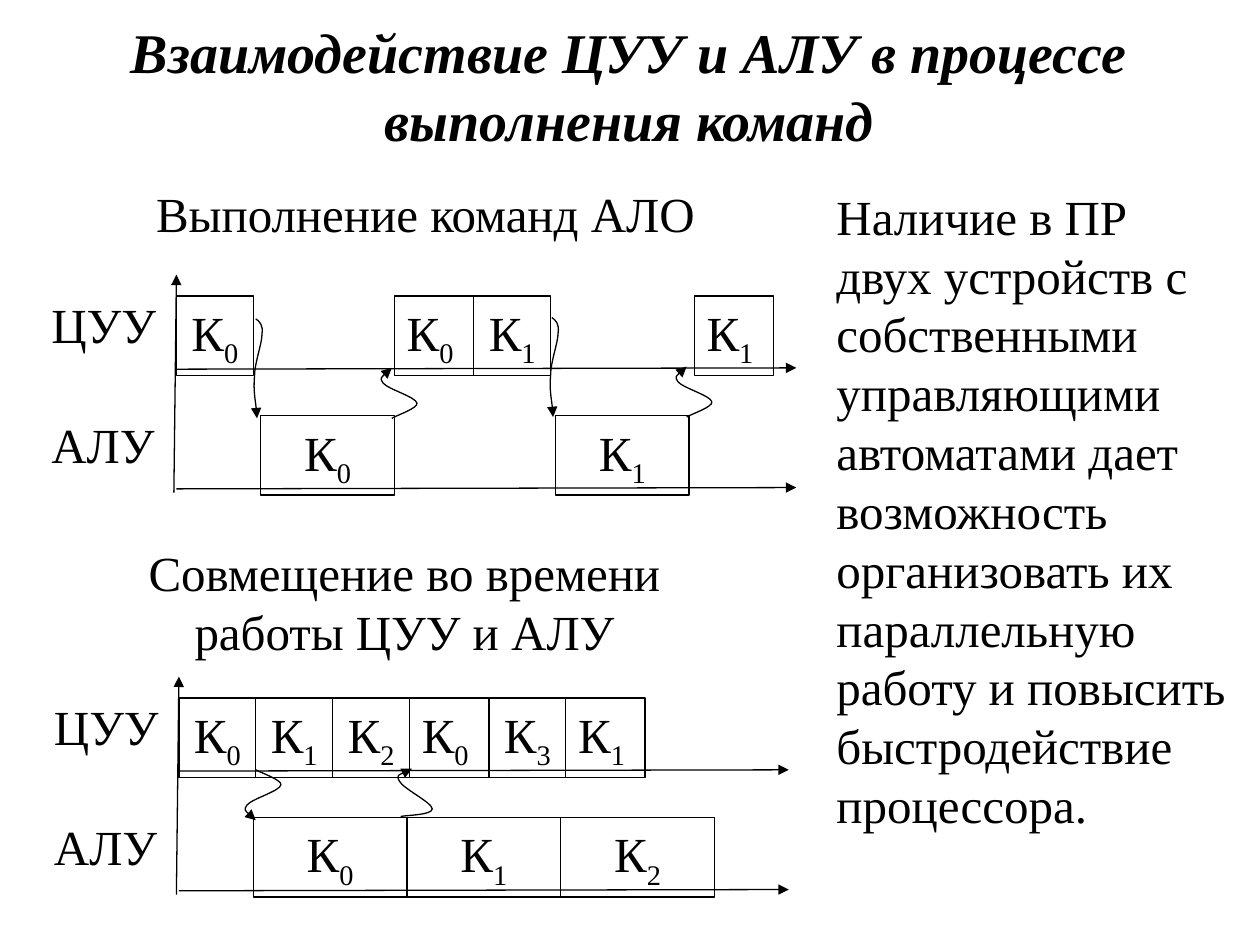
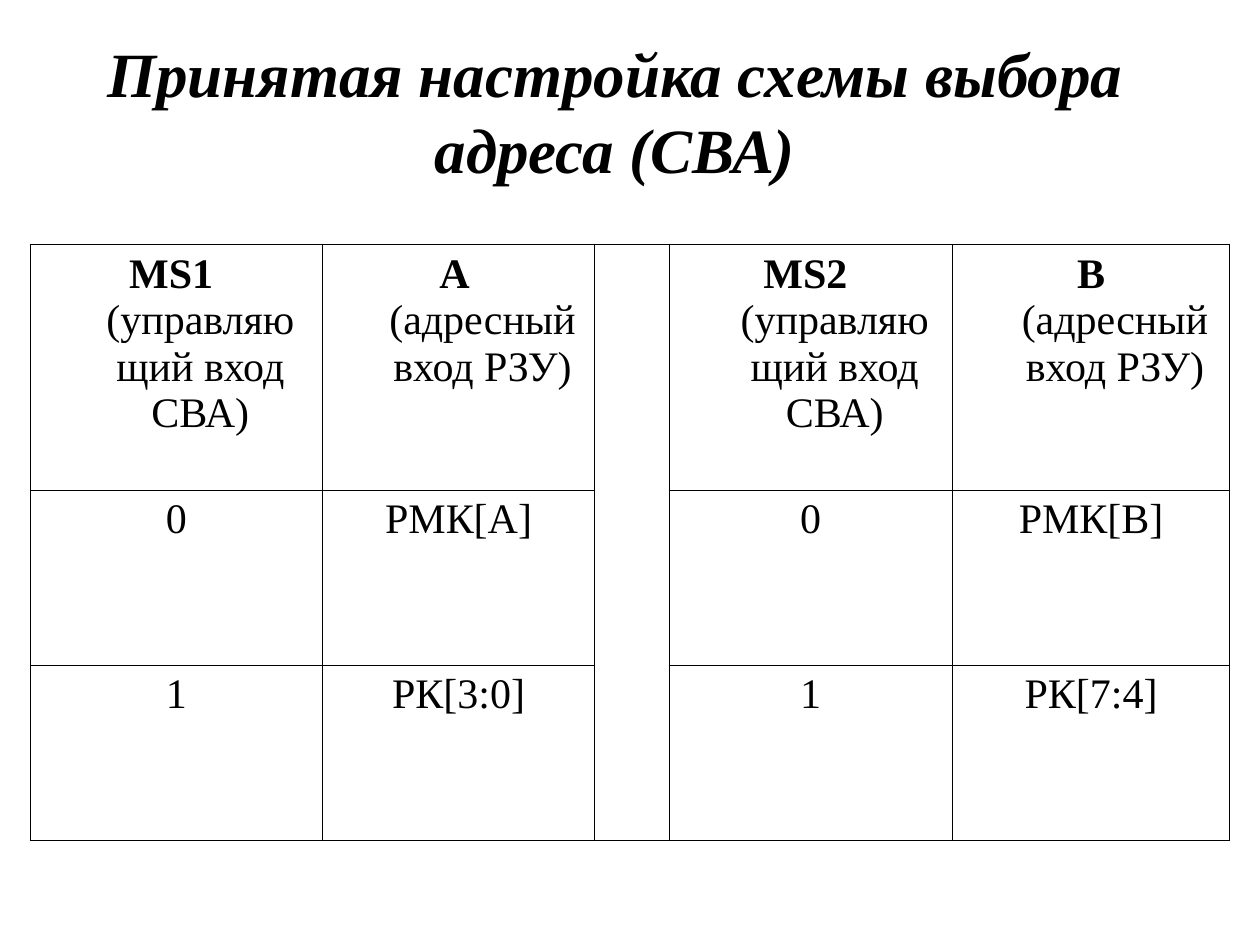
from lxml import etree
from pptx import Presentation
from pptx.dml.color import RGBColor
from pptx.enum.shapes import MSO_CONNECTOR, MSO_SHAPE
from pptx.enum.text import MSO_ANCHOR, MSO_AUTO_SIZE, PP_ALIGN
from pptx.oxml.ns import qn
from pptx.util import Inches, Pt

LEFT, CENTER = PP_ALIGN.LEFT, PP_ALIGN.CENTER
MIDDLE = MSO_ANCHOR.MIDDLE
NO_FIT, GROW = MSO_AUTO_SIZE.NONE, MSO_AUTO_SIZE.SHAPE_TO_FIT_TEXT
RECTANGLE, STRAIGHT = MSO_SHAPE.RECTANGLE, MSO_CONNECTOR.STRAIGHT

FONT = "Times New Roman"
INK = "000000"
LINE_WIDTH = 0.74
TITLE_ONLY = 5

# Timing diagram: offsets from its top-left corner, in inches
CONTROL_ROW, ARITHMETIC_ROW = 0.17, 1.12
CONTROL_AXIS, ARITHMETIC_AXIS = 0.74, 1.69
AXIS_HEIGHT = 1.73
CELL_HEIGHT = 0.63
NARROW, WIDE = 0.61, 0.63

# Bezier points relative to the start of each curved arrow
DOWN_CURVE = [(0.03, 0.02), (0.06, 0.05), (0.05, 0.12),
              (0.05, 0.20), (-0.01, 0.35), (-0.01, 0.46),
              (-0.02, 0.57), (0.01, 0.73), (0.01, 0.79)]
RETURN_CURVE = [(-0.05, 0.04), (-0.10, 0.08), (-0.07, 0.12),
                (-0.03, 0.17), (0.19, 0.23), (0.20, 0.28),
                (0.21, 0.32), (0.03, 0.38), (0, 0.40)]
LEANING_CURVE = [(-0.06, 0.03), (-0.13, 0.05), (-0.10, 0.10),
                 (-0.07, 0.16), (0.16, 0.27), (0.16, 0.32),
                 (0.16, 0.37), (-0.05, 0.37), (-0.09, 0.38)]
FORWARD_CURVE = [(x, -y) for x, y in RETURN_CURVE]


def color(hex_string):
    """Turn a hex string into a colour."""
    return RGBColor.from_string(hex_string)


def inches(*lengths):
    """Convert lengths in inches."""
    return [Inches(length) for length in lengths]


def set_font(font, size, bold=False, italic=False):
    """Apply the shared typeface and colour."""
    font.name, font.size = FONT, Pt(size)
    font.bold, font.italic = bold, italic
    font.color.rgb = color(INK)


def add_slide(presentation, title, box, size):
    """Add a slide with the shared title style."""
    slide = presentation.slides.add_slide(presentation.slide_layouts[TITLE_ONLY])
    shape = slide.shapes.title
    shape.left, shape.top, shape.width, shape.height = inches(*box)
    frame = shape.text_frame
    frame.text = title
    frame.auto_size, frame.vertical_anchor = NO_FIT, MIDDLE
    paragraph = frame.paragraphs[0]
    paragraph.alignment = CENTER
    set_font(paragraph.font, size, bold=True, italic=True)
    return slide


def write(shape, text, alignment=LEFT, subscript=""):
    """Write one body paragraph, optionally ending in a subscript."""
    frame = shape.text_frame
    frame.word_wrap, frame.auto_size = True, GROW
    frame.vertical_anchor = MSO_ANCHOR.TOP
    paragraph = frame.paragraphs[0]
    paragraph.alignment, paragraph.space_before = alignment, Pt(17.5)
    set_font(paragraph.font, 28)
    paragraph.add_run().text = text
    if subscript:
        run = paragraph.add_run()
        run.text = subscript
        run._r.get_or_add_rPr().set("baseline", "-25000")


def add_text(slide, box, text, alignment=LEFT):
    """Add a wrapped text box."""
    write(slide.shapes.add_textbox(*inches(*box)), text, alignment)


def style_line(shape, arrow_end=None):
    """Give a shape the thin black line and an arrowhead at one end."""
    shape.line.color.rgb = color(INK)
    shape.line.width = Pt(LINE_WIDTH)
    if arrow_end:
        line = shape.line._get_or_add_ln()
        etree.SubElement(line, qn(f"a:{arrow_end}"), type="triangle")


def add_axis(slide, start, end):
    """Draw a straight axis with an arrowhead at its end."""
    axis = slide.shapes.add_connector(STRAIGHT, *inches(*start, *end))
    style_line(axis, "tailEnd")
    etree.SubElement(axis._element.spPr, qn("a:effectLst"))


def add_curve(slide, start, offsets, arrow_end="headEnd"):
    """Draw a curved arrow through Bezier offsets from its start."""
    x, y = start
    builder = slide.shapes.build_freeform(*inches(x, y))
    builder.add_line_segments(
        [inches(x + dx, y + dy) for dx, dy in offsets], close=False)
    curve = builder.convert_to_shape()
    segments = list(curve._element.iter(qn("a:lnTo")))
    for first in range(0, len(segments), 3):
        bezier = etree.Element(qn("a:cubicBezTo"))
        segments[first].addprevious(bezier)
        for segment in segments[first:first + 3]:
            bezier.append(segment[0])
            segment.getparent().remove(segment)
    curve.shadow.inherit = False
    curve.fill.background()
    style_line(curve, arrow_end)


def add_command(slide, box, number):
    """Draw one command cell; the wide control cells align left."""
    cell = slide.shapes.add_shape(RECTANGLE, *inches(*box))
    cell.shadow.inherit = False
    cell.fill.background()
    style_line(cell)
    write(cell, "К", LEFT if box[2] == WIDE else CENTER, number)


def add_timing_diagram(slide, box, control, arithmetic, curves):
    """Draw axes, row labels, command cells and curved arrows in a box.

    Cells are (x, width, number) and curves (x, y, offsets, arrow end),
    all measured from the corner of the box.
    """
    left, top, width = box
    add_axis(slide, (left - 0.02, top + AXIS_HEIGHT), (left, top))
    rows = [("ЦУУ", CONTROL_ROW, CONTROL_AXIS, control),
            ("АЛУ", ARITHMETIC_ROW, ARITHMETIC_AXIS, arithmetic)]
    for label, row, axis, cells in rows:
        add_axis(slide, (left, top + axis + 0.01), (left + width, top + axis))
        add_text(slide, (left - 1.09, top + row - 0.06, 1.04, 0.57), label)
        for x, cell_width, number in cells:
            add_command(
                slide, (left + x, top + row, cell_width, CELL_HEIGHT), number)
    for x, y, offsets, arrow_end in curves:
        add_curve(slide, (left + x, top + y), offsets, arrow_end)


def in_sequence(start, cells):
    """Place (width, number) cells side by side from a start."""
    placed = []
    for width, number in cells:
        placed.append((start, width, number))
        start += width
    return placed


def set_borders(cell, sides):
    """Draw the named sides of a table cell and hide the others."""
    properties = cell._tc.get_or_add_tcPr()
    for side in "LRTB":
        border = etree.SubElement(
            properties, qn(f"a:ln{side}"), w=str(Pt(0.45)))
        if side in sides:
            fill = etree.SubElement(border, qn("a:solidFill"))
            etree.SubElement(fill, qn("a:srgbClr"), val=INK)
        else:
            etree.SubElement(border, qn("a:noFill"))


def fill_cell(cell, text):
    """Write a centred cell; lines above the last one are bold."""
    paragraph = cell.text_frame.paragraphs[0]
    paragraph.alignment = CENTER
    properties = paragraph._p.get_or_add_pPr()
    properties.set("marL", str(Inches(0.38)))
    properties.set("indent", str(-Inches(0.38)))
    *headings, body = text.split("\n")
    for heading in headings:
        run = paragraph.add_run()
        run.text = heading
        set_font(run.font, 24, bold=True)
        paragraph.add_line_break()
    run = paragraph.add_run()
    run.text = body
    set_font(run.font, 24)


def add_address_table(slide, box, columns, rows, values):
    """Add the table whose empty middle column separates two halves."""
    frame = slide.shapes.add_table(len(rows), len(columns), *inches(*box))
    table = frame.table
    table.first_row = table.horz_banding = False
    for column, width in zip(table.columns, columns):
        column.width = Inches(width)
    last = len(rows) - 1
    for r, (height, texts) in enumerate(zip(rows, values)):
        table.rows[r].height = Inches(height)
        for c, text in enumerate(texts):
            cell = table.cell(r, c)
            if text:
                fill_cell(cell, text)
                sides = "LRTB"
            else:
                sides = "LR" + "T" * (r == 0) + "B" * (r == last)
            set_borders(cell, sides)
            cell.fill.background()


def build_timing_slide(presentation):
    """Compare sequential and overlapped command execution."""
    slide = add_slide(
        presentation, "Взаимодействие ЦУУ и АЛУ в процессе выполнения команд",
        (0.27, 0.13, 9.45, 1.09), 32)
    add_text(slide, (1.14, 1.41, 4.65, 0.57), "Выполнение команд АЛО")
    add_timing_diagram(
        slide, (1.4, 2.18, 4.92),
        [(0, NARROW, "0"), (1.73, WIDE, "0"), (2.36, NARROW, "1"),
         (4.11, WIDE, "1")],
        [(0.67, 1.06, "0"), (3.01, 1.06, "1")],
        [(0.63, 0.35, DOWN_CURVE, "tailEnd"),
         (1.71, 0.74, RETURN_CURVE, "headEnd"),
         (2.98, 0.34, DOWN_CURVE, "tailEnd"),
         (4.05, 0.73, RETURN_CURVE, "headEnd")])
    add_text(slide, (0.71, 4.26, 5, 1.04),
             "Совмещение во времени работы ЦУУ и АЛУ", CENTER)
    add_timing_diagram(
        slide, (1.42, 5.37, 4.84),
        in_sequence(0, [(NARROW, "0"), (NARROW, "1"), (NARROW, "2"),
                        (WIDE, "0"), (NARROW, "3"), (WIDE, "1")]),
        in_sequence(0.59, [(1.22, number) for number in "012"]),
        [(0.61, 1.14, FORWARD_CURVE, "headEnd"),
         (1.85, 0.73, LEANING_CURVE, "headEnd")])
    add_text(slide, (6.54, 1.43, 3.31, 5.24),
             "Наличие в ПР двух устройств с собственными управляющими "
             "автоматами дает возможность организовать их параллельную "
             "работу и повысить быстродействие процессора.")


def build_address_slide(presentation):
    """Show the settings of the address selection circuit."""
    slide = add_slide(
        presentation, "Принятая настройка схемы выбора адреса (СВА)",
        (0.63, 0.25, 8.5, 1.25), 36)
    control, address = "(управляющий вход СВА)", "(адресный вход РЗУ)"
    add_address_table(
        slide, (0.24, 1.94, 9.53, 4.73),
        [2.32, 2.16, 0.59, 2.25, 2.2], [1.95, 1.39, 1.39],
        [[f"MS1 \n{control}", f"A \n{address}", "",
          f"MS2 \n{control}", f"B\n{address}"],
         ["0", "РМК[A]", "", "0", "РМК[B]"],
         ["1", "РК[3:0]", "", "1", "РК[7:4]"]])


def main():
    """Build and save the presentation."""
    presentation = Presentation()
    presentation.slide_width, presentation.slide_height = inches(10, 7.5)
    build_timing_slide(presentation)
    build_address_slide(presentation)
    presentation.save("out.pptx")


main()
